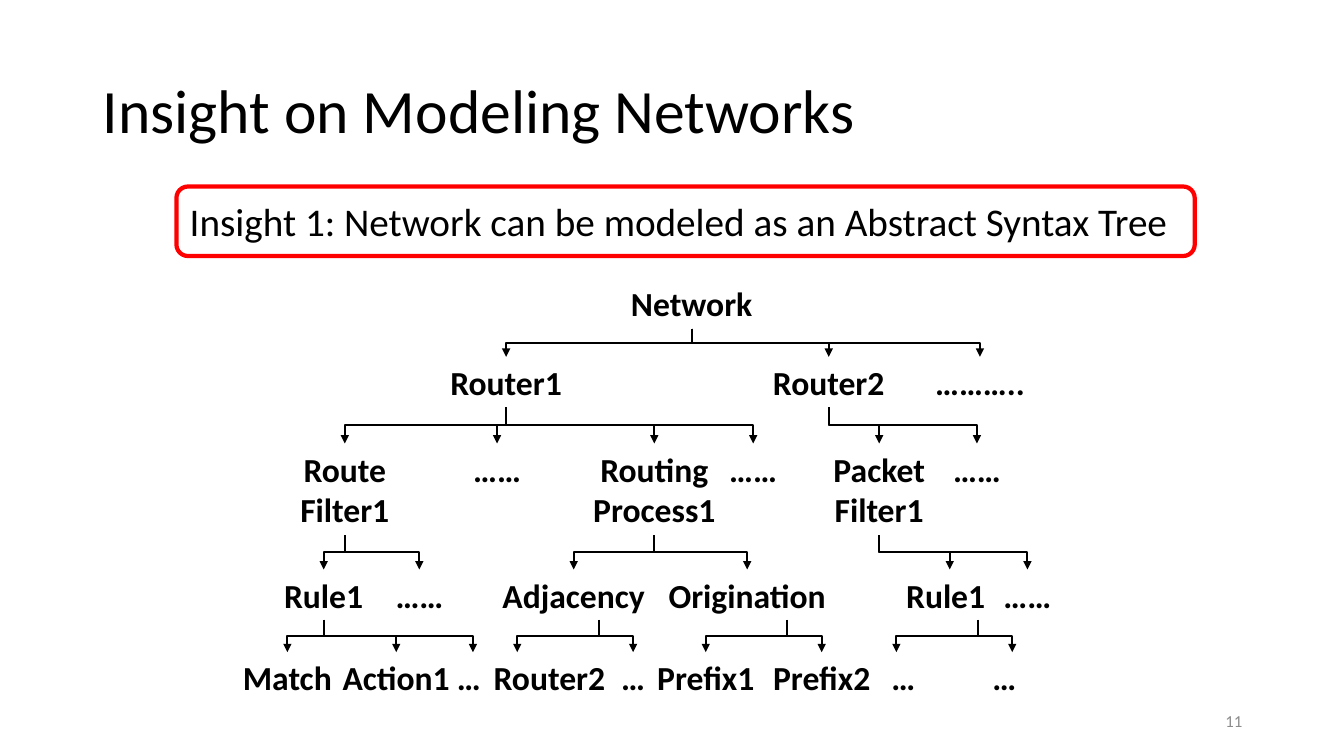
from dataclasses import dataclass
from typing import Optional

import pptx
import pptx.dml.color
import pptx.enum.shapes
import pptx.enum.text
import pptx.oxml
import pptx.oxml.ns
import pptx.util

Inches = pptx.util.Inches
Align = pptx.enum.text.PP_ALIGN
Anchor = pptx.enum.text.MSO_ANCHOR
AutoSize = pptx.enum.text.MSO_AUTO_SIZE

COLORS = {"text": "000000", "number": "8C8C8C", "accent": "FF0000", "paper": "FFFFFF"}


@dataclass
class Node:
    """A tree label; arrow_x is where its arrow lands if not at its centre."""
    text: str
    center: float
    width: float = 1.17
    arrow_x: Optional[float] = None


# Each row: top, height, and sibling groups as (x of the parent stem, nodes).
TREE_ROWS = [
    (0, 0.5, [(None, [Node("Network", 4.58, 1.62)])]),
    (0.78, 0.5, [
        (4.58, [Node("Router1", 2.74, 1.37), Node("Router2", 5.94, 1.44),
                Node("………..", 7.44)]),
    ]),
    (1.64, 0.91, [
        (2.74, [Node("Route Filter1", 1.14, 1.67), Node("……", 2.65),
                Node("Routing Process1", 4.21, 2.02), Node("……", 5.19)]),
        (5.94, [Node("Packet Filter1", 6.44, 1.44), Node("……", 7.41)]),
    ]),
    (2.89, 0.5, [
        (1.14, [Node("Rule1", 0.93, 1.37), Node("……", 1.88)]),
        (4.21, [Node("Adjacency", 3.41, 1.62), Node("Origination", 5.13, 1.88)]),
        (6.44, [Node("Rule1", 7.1, 1.3, 7.14), Node("……", 7.91)]),
    ]),
    (3.71, 0.5, [
        (0.93, [Node("Match", 0.57, 1.14), Node("Action1", 1.65, 1.33),
                Node("…", 2.37, arrow_x=2.41)]),
        (3.66, [Node("Router2", 3.17, 1.33, 2.85), Node("…", 4)]),
        (5.53, [Node("Prefix1", 4.72, 1.33), Node("Prefix2", 5.87, 1.2)]),
        (7.42, [Node("…", 6.68, arrow_x=6.61), Node("…", 7.68, arrow_x=7.76)]),
    ]),
]


def rgb(name):
    return pptx.dml.color.RGBColor.from_string(COLORS[name])


def place(shape, box):
    for name, length in zip(("left", "top", "width", "height"), box):
        setattr(shape, name, Inches(length))


def write(shape, text, size, color="text", bold=False, align=Align.LEFT,
          anchor=Anchor.MIDDLE, auto_size=AutoSize.NONE):
    frame = shape.text_frame
    frame.text = text
    frame_format = {"word_wrap": True, "vertical_anchor": anchor, "auto_size": auto_size}
    for name, value in frame_format.items():
        setattr(frame, name, value)
    paragraph = frame.paragraphs[0]
    paragraph.alignment = align
    font_format = {"name": "Calibri", "size": pptx.util.Pt(size), "bold": bold}
    for name, value in font_format.items():
        setattr(paragraph.font, name, value)
    paragraph.font.color.rgb = rgb(color)


def add_text(slide, box, text, size, **text_format):
    shape = slide.shapes.add_textbox(*map(Inches, box))
    write(shape, text, size, **text_format)


def add_title(slide, box):
    title = slide.shapes.title
    place(title, box)
    write(title, "Insight on Modeling Networks", 44)
    title.text_frame.paragraphs[0].line_spacing = 0.9


def add_insight(slide, box):
    shape = slide.shapes.add_shape(
        pptx.enum.shapes.MSO_SHAPE.ROUNDED_RECTANGLE, *map(Inches, box))
    shape.shadow.inherit = False
    shape.fill.solid()
    shape.fill.fore_color.rgb = rgb("paper")
    shape.line.color.rgb = rgb("accent")
    shape.line.width = pptx.util.Pt(3)
    write(shape, "Insight 1: Network can be modeled as an Abstract Syntax Tree", 28)


def add_branch(slide, start, end):
    """Draw an elbow arrow that leaves and arrives vertically.

    An elbow connector runs sideways first, so it is laid out on its side
    about the middle of the branch and then turned upright.
    """
    (start_x, start_y), (end_x, end_y) = start, end
    middle_x, middle_y = (start_x + end_x) / 2, (start_y + end_y) / 2
    half_drop, half_span = (end_y - start_y) / 2, abs(end_x - start_x) / 2
    goes_right = end_x > start_x
    side = half_drop if goes_right else -half_drop
    connector = slide.shapes.add_connector(
        pptx.enum.shapes.MSO_CONNECTOR.ELBOW,
        Inches(middle_x + side), Inches(middle_y - half_span),
        Inches(middle_x - side), Inches(middle_y + half_span))
    connector.rotation = 270 if goes_right else 90
    connector.line.color.rgb = rgb("text")
    connector.line.width = pptx.util.Pt(1.5)
    namespace = pptx.oxml.ns.nsdecls("a")
    connector.line._get_or_add_ln().append(
        pptx.oxml.parse_xml(f'<a:tailEnd {namespace} type="triangle"/>'))
    connector._element.spPr.append(pptx.oxml.parse_xml(f"<a:effectLst {namespace}/>"))


def add_syntax_tree(slide, left, top):
    parent_bottom = top
    for row_top, height, groups in TREE_ROWS:
        y = top + row_top
        for stem_x, nodes in groups:
            for node in nodes:
                add_text(slide, (left + node.center - node.width / 2, y, node.width, height),
                         node.text, 24, bold=True, align=Align.CENTER,
                         anchor=Anchor.TOP, auto_size=AutoSize.SHAPE_TO_FIT_TEXT)
                if stem_x is not None:
                    arrow_x = node.center if node.arrow_x is None else node.arrow_x
                    add_branch(slide, (left + stem_x, parent_bottom), (left + arrow_x, y))
        parent_bottom = y + height


def main():
    presentation = pptx.Presentation()
    presentation.slide_width = Inches(13.33)
    presentation.slide_height = Inches(7.5)
    slide = presentation.slides.add_slide(presentation.slide_layouts[5])
    add_title(slide, (0.92, 0.4, 11.5, 1.45))
    add_insight(slide, (1.75, 1.85, 10.1, 0.69))
    add_syntax_tree(slide, 2.28, 2.76)
    add_text(slide, (9.42, 6.95, 3, 0.4), "11", 12, color="number", align=Align.RIGHT)
    presentation.save("out.pptx")


if __name__ == "__main__":
    main()
